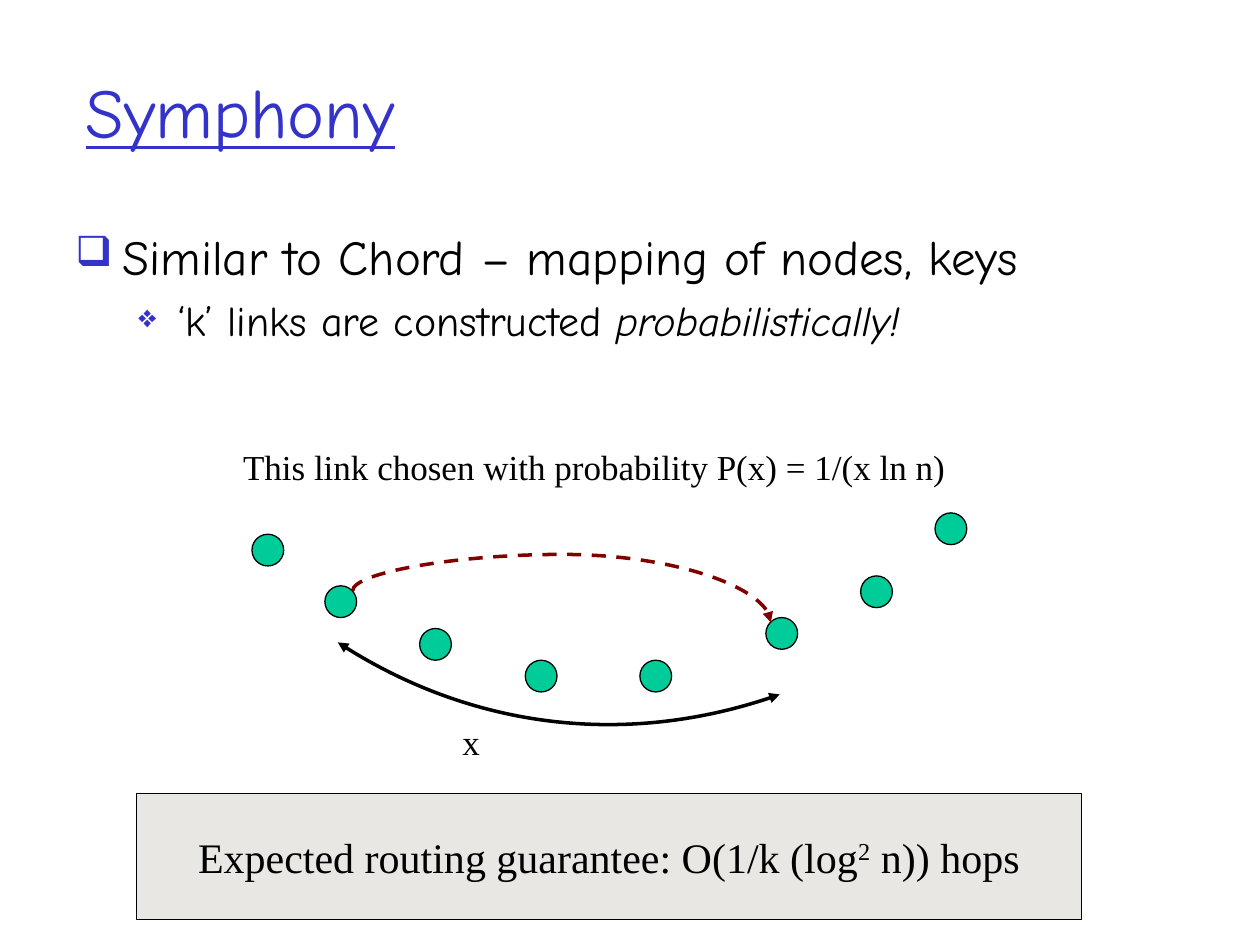
from lxml.etree import SubElement
from pptx import Presentation
from pptx.dml.color import RGBColor
from pptx.enum.dml import MSO_LINE
from pptx.enum.shapes import MSO_CONNECTOR, MSO_SHAPE
from pptx.enum.text import MSO_ANCHOR, MSO_AUTO_SIZE, PP_ALIGN
from pptx.oxml.ns import qn
from pptx.util import Cm, Pt

BLUE = RGBColor(0x33, 0x33, 0xCC)
BLACK = RGBColor(0, 0, 0)
GREEN = RGBColor(0x00, 0xCC, 0x99)
MAROON = RGBColor(0x80, 0, 0)
GREY = RGBColor(0xE8, 0xE7, 0xE4)
HAND, SERIF = "Comic Neue", "Times New Roman"

NODE_SIZE = 0.64
NODES = [(0.43, 1.91), (1.9, 2.95), (3.81, 3.81), (5.94, 4.45),
         (8.25, 4.45), (10.79, 3.59), (12.7, 2.75), (14.2, 1.48)]
SPAN_ARC = [(11.07, 5.14), (8.1, 6.2), (4.8, 5.82), (2.16, 4.09)]
LINK_START, LINK_END = (2.46, 3.05), (10.89, 3.69)


def add_run(p, text, **formats):
    r = p.add_run()
    r.text = text
    color = formats.pop("color", BLACK)
    for name, value in formats.items():
        setattr(r.font, name, value)
    r.font.color.rgb = color
    return r


def style_line(shape, color, width, ends=()):
    shape.line.color.rgb = color
    shape.line.width = Pt(width)
    ln = shape.line._get_or_add_ln()
    for end in ends:
        SubElement(ln, qn(f"a:{end}"), type="triangle")


def add_solid(s, kind, x, y, w, h, fill):
    sp = s.shapes.add_shape(kind, Cm(x), Cm(y), Cm(w), Cm(h))
    sp.shadow.inherit = False
    sp.fill.solid()
    sp.fill.fore_color.rgb = fill
    style_line(sp, BLACK, 0.75)
    return sp


def add_label(s, x, y, w, h, text):
    tf = s.shapes.add_textbox(Cm(x), Cm(y), Cm(w), Cm(h)).text_frame
    tf.word_wrap = False
    tf.auto_size = MSO_AUTO_SIZE.SHAPE_TO_FIT_TEXT
    add_run(tf.paragraphs[0], text, name=SERIF, size=Pt(20))


def add_title(s, x, y, w, h):
    sp = s.shapes.title
    sp.left, sp.top, sp.width, sp.height = Cm(x), Cm(y), Cm(w), Cm(h)
    tf = sp.text_frame
    tf.vertical_anchor = MSO_ANCHOR.MIDDLE
    tf.auto_size = MSO_AUTO_SIZE.NONE
    p = tf.paragraphs[0]
    p.alignment = PP_ALIGN.LEFT
    add_run(p, "Symphony", name=HAND, size=Pt(40), underline=True, color=BLUE)


def set_bullet(p, char, percent, margin, hanging):
    pPr = p._p.get_or_add_pPr()
    pPr.set("marL", str(Cm(margin)))
    pPr.set("indent", str(-Cm(hanging)))
    SubElement(SubElement(pPr, qn("a:buClr")), qn("a:srgbClr"), val=str(BLUE))
    SubElement(pPr, qn("a:buSzPct"), val=str(percent * 1000))
    SubElement(pPr, qn("a:buChar"), char=char)


def add_points(s, x, y, w, h):
    tf = s.shapes.add_textbox(Cm(x), Cm(y), Cm(w), Cm(h)).text_frame
    tf.word_wrap = True
    p = tf.paragraphs[0]
    set_bullet(p, "❑", 85, 0.95, 0.95)
    add_run(p, "Similar to Chord – mapping of nodes, keys", name=HAND, size=Pt(28))
    p = tf.add_paragraph()
    p.level = 1
    p.space_before = Pt(5)
    set_bullet(p, "❖", 75, 2.06, 0.79)
    add_run(p, "‘k’ links are constructed ", name=HAND, size=Pt(24))
    add_run(p, "probabilistically!", name=HAND, size=Pt(24), italic=True)


def add_span_arc(s, x, y):
    points = [(Cm(x + dx), Cm(y + dy)) for dx, dy in SPAN_ARC]
    builder = s.shapes.build_freeform(*points[0])
    builder.add_line_segments(points[1:], close=False)
    sp = builder.convert_to_shape()
    sp.shadow.inherit = False
    sp.fill.background()
    # Turn the control polygon into one cubic curve
    path = sp._element.xpath(".//a:path")[0]
    curve = SubElement(path, qn("a:cubicBezTo"))
    for segment in path.findall(qn("a:lnTo")):
        curve.append(segment[0])
        path.remove(segment)
    style_line(sp, BLACK, 2, ("headEnd", "tailEnd"))


def add_long_link(s, x, y):
    (x1, y1), (x2, y2) = LINK_START, LINK_END
    cx, cy = x + (x1 + x2) / 2, y + (y1 + y2) / 2
    half_w, half_h = (y2 - y1) / 2, (x2 - x1) / 2
    # Drawn upright, then turned a quarter so that it bulges upwards
    link = s.shapes.add_connector(
        MSO_CONNECTOR.CURVE, Cm(cx - half_w), Cm(cy + half_h),
        Cm(cx + half_w), Cm(cy - half_h))
    spPr = link._element.spPr
    spPr.find(qn("a:xfrm")).set("rot", "5400000")
    guides = spPr.xpath("./a:prstGeom/a:avLst")[0]
    SubElement(guides, qn("a:gd"), name="adj1", fmla="val -114600")
    link.line.dash_style = MSO_LINE.DASH
    style_line(link, MAROON, 2, ("tailEnd",))
    SubElement(spPr, qn("a:effectLst"))


def add_ring(s, x, y, w):
    for dx, dy in NODES:
        add_solid(s, MSO_SHAPE.OVAL, x + dx, y + dy, NODE_SIZE, NODE_SIZE, GREEN)
    add_span_arc(s, x, y)
    add_label(s, x + 4.42, y + 5.54, 0.86, 1.09, "x")
    add_long_link(s, x, y)
    add_label(s, x, y, w, 1.09,
              "This link chosen with probability P(x) = 1/(x ln n)")


def add_guarantee(s, x, y, w, h):
    tf = add_solid(s, MSO_SHAPE.RECTANGLE, x, y, w, h, GREY).text_frame
    tf.word_wrap = False
    tf.vertical_anchor = MSO_ANCHOR.MIDDLE
    p = tf.paragraphs[0]
    p.alignment = PP_ALIGN.CENTER
    for text, raised in (("Expected routing guarantee: O(1/k (log", False),
                         ("2", True), (" n)) hops", False)):
        r = add_run(p, text, name=SERIF, size=Pt(24))
        if raised:
            r._r.get_or_add_rPr().set("baseline", "30000")


def main():
    prs = Presentation()
    prs.slide_width, prs.slide_height = Cm(25.4), Cm(19.05)
    s = prs.slides.add_slide(prs.slide_layouts[5])
    add_title(s, 1.47, 0.64, 21.59, 3.18)
    add_points(s, 1.27, 4.45, 22.86, 3.38)
    add_ring(s, 4.65, 8.86, 15.47)
    add_guarantee(s, 2.75, 16, 19.05, 2.54)
    prs.save("out.pptx")


if __name__ == "__main__":
    main()
